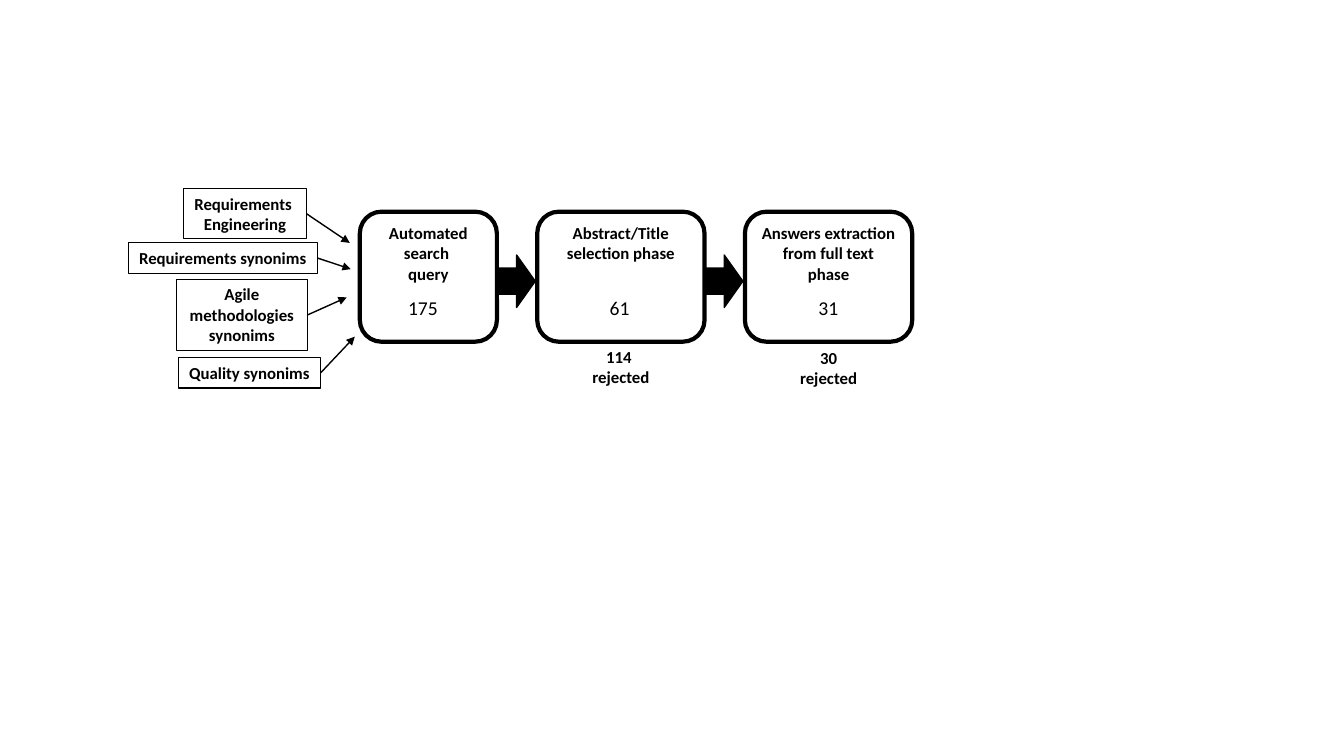
import pptx
import pptx.dml.color
import pptx.enum.shapes
import pptx.enum.text
import pptx.oxml.ns
import pptx.util
from lxml import etree

COLS, ROWS = 133.33, 75  # square grid cells, a tenth of an inch each
CELL = pptx.util.Inches(0.1)
COLORS = {"ink": "000000", "paper": "FFFFFF"}
BOLD = {"name": "Calibri", "size": pptx.util.Pt(12), "bold": True}
COUNT = {"name": "Calibri", "size": pptx.util.Pt(14), "bold": False}
SHAPE = pptx.enum.shapes.MSO_SHAPE
ALIGN = pptx.enum.text.PP_ALIGN

PHASE_TOP, PHASE_H = 21, 12.9
ARROW_W, ARROW_H = 3.7, 5.2
# left, width, title paragraphs, count, count centre, rejected, rejected top
PHASES = [
    (35.7, 13.6, ["Automated search ", "query"], "175", 42, None, None),
    (53.3, 16.6, ["Abstract/Title selection phase"], "61", 61.5,
     ["114 ", "rejected"], 33.9),
    (73.9, 16.6, ["Answers extraction from full text phase"], "31", 82.2,
     ["30", "rejected"], 34),
]
# text, box (left, top, width, height), wrap, arrow tip
KEYWORDS = [
    ("Requirements \vEngineering", (18.2, 18.7, 12.2, 5), False, (34.7, 24.1)),
    ("Requirements synonims", (12.7, 24.1, 18.8, 3), False, (34.8, 26.7)),
    ("Agile methodologies synonims", (17.5, 27.7, 13, 7.1), True, (34.4, 29.5)),
    ("Quality synonims", (17.7, 35.5, 14.1, 3), False, (35.2, 33.4)),
]


def cells(*values):
    """Turn grid cells into slide lengths."""
    return [int(v * CELL) for v in values]


def rgb(name):
    """Look up a colour by its name."""
    return pptx.dml.color.RGBColor.from_string(COLORS[name])


def write(sp, lines, fmt, align=ALIGN.CENTER, wrap=True):
    """Fill a shape with one top-anchored paragraph per line."""
    tf = sp.text_frame
    tf.word_wrap = wrap
    tf.vertical_anchor = pptx.enum.text.MSO_ANCHOR.TOP
    for i, line in enumerate(lines):
        p = tf.paragraphs[0] if i == 0 else tf.add_paragraph()
        p.text = line
        p.alignment = align
        for r in p.runs:
            r.font.color.rgb = rgb("ink")
            for key, value in fmt.items():
                setattr(r.font, key, value)


def add_box(s, kind, box, fill, weight):
    """Add a preset shape with a black outline; no fill if fill is None."""
    sp = s.shapes.add_shape(kind, *cells(*box))
    sp.shadow.inherit = False
    if fill:
        sp.fill.solid()
        sp.fill.fore_color.rgb = rgb(fill)
    else:
        sp.fill.background()
    sp.line.color.rgb = rgb("ink")
    sp.line.width = pptx.util.Pt(weight)
    return sp


def add_label(s, box, lines, fmt, align):
    """Add a text box that does not wrap."""
    write(s.shapes.add_textbox(*cells(*box)), lines, fmt, align, wrap=False)


def add_pointer(s, start, tip):
    """Add a thin line with a triangle at its tip."""
    line = s.shapes.add_connector(
        pptx.enum.shapes.MSO_CONNECTOR.STRAIGHT, *cells(*start, *tip))
    line.line.color.rgb = rgb("ink")
    line.line.width = pptx.util.Pt(1)
    qn = pptx.oxml.ns.qn
    etree.SubElement(line.line._get_or_add_ln(), qn("a:tailEnd"), type="triangle")
    etree.SubElement(line._element.spPr, qn("a:effectLst"))


def add_phase(s, left, width, title, count, count_mid, rejected, rejected_top):
    """Add a phase box with its count and the papers rejected below it."""
    sp = add_box(s, SHAPE.ROUNDED_RECTANGLE,
                 (left, PHASE_TOP, width, PHASE_H), "paper", 3)
    write(sp, title, BOLD)
    count_w = 2 + len(count)
    add_label(s, (count_mid - count_w / 2, 28.9, count_w, 3.4),
              [count], COUNT, ALIGN.LEFT)
    if rejected:
        add_label(s, (left + width / 2 - 3.85, rejected_top, 7.7, 5),
                  rejected, BOLD, ALIGN.CENTER)


def add_keyword(s, text, box, wrap, tip):
    """Add a search keyword and its pointer to the query."""
    left, top, width, height = box
    write(add_box(s, SHAPE.RECTANGLE, box, None, 0.75), [text], BOLD, wrap=wrap)
    add_pointer(s, (left + width, top + height / 2), tip)


def main():
    """Build the paper selection flow."""
    prs = pptx.Presentation()
    prs.slide_width, prs.slide_height = cells(COLS, ROWS)
    s = prs.slides.add_slide(prs.slide_layouts[6])
    for phase in PHASES:
        add_phase(s, *phase)
    for left, width, *_ in PHASES[:-1]:
        add_box(s, SHAPE.RIGHT_ARROW,
                (left + width + 0.1, 25.3, ARROW_W, ARROW_H), "ink", 1)
    for keyword in KEYWORDS:
        add_keyword(s, *keyword)
    prs.save("out.pptx")


main()
